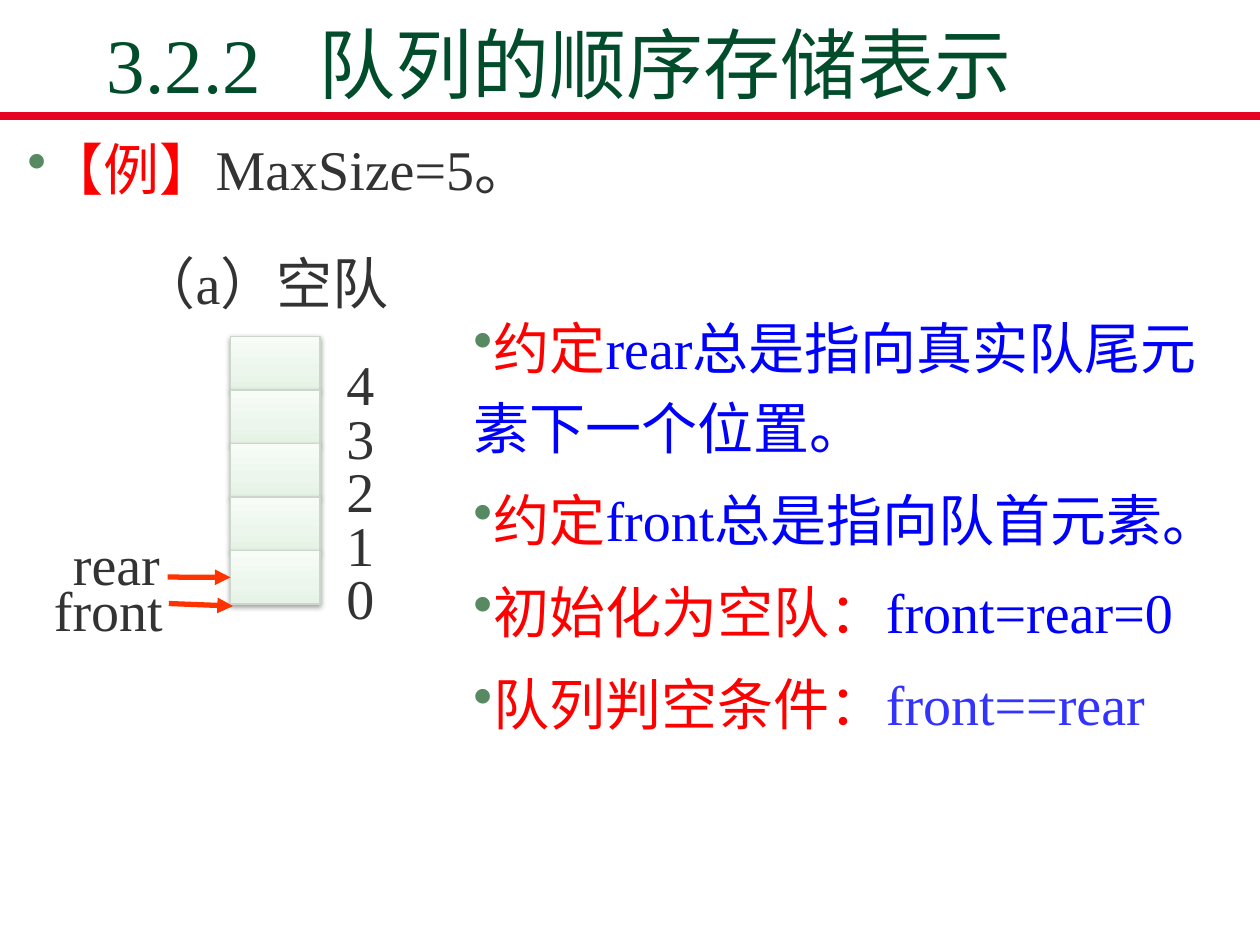
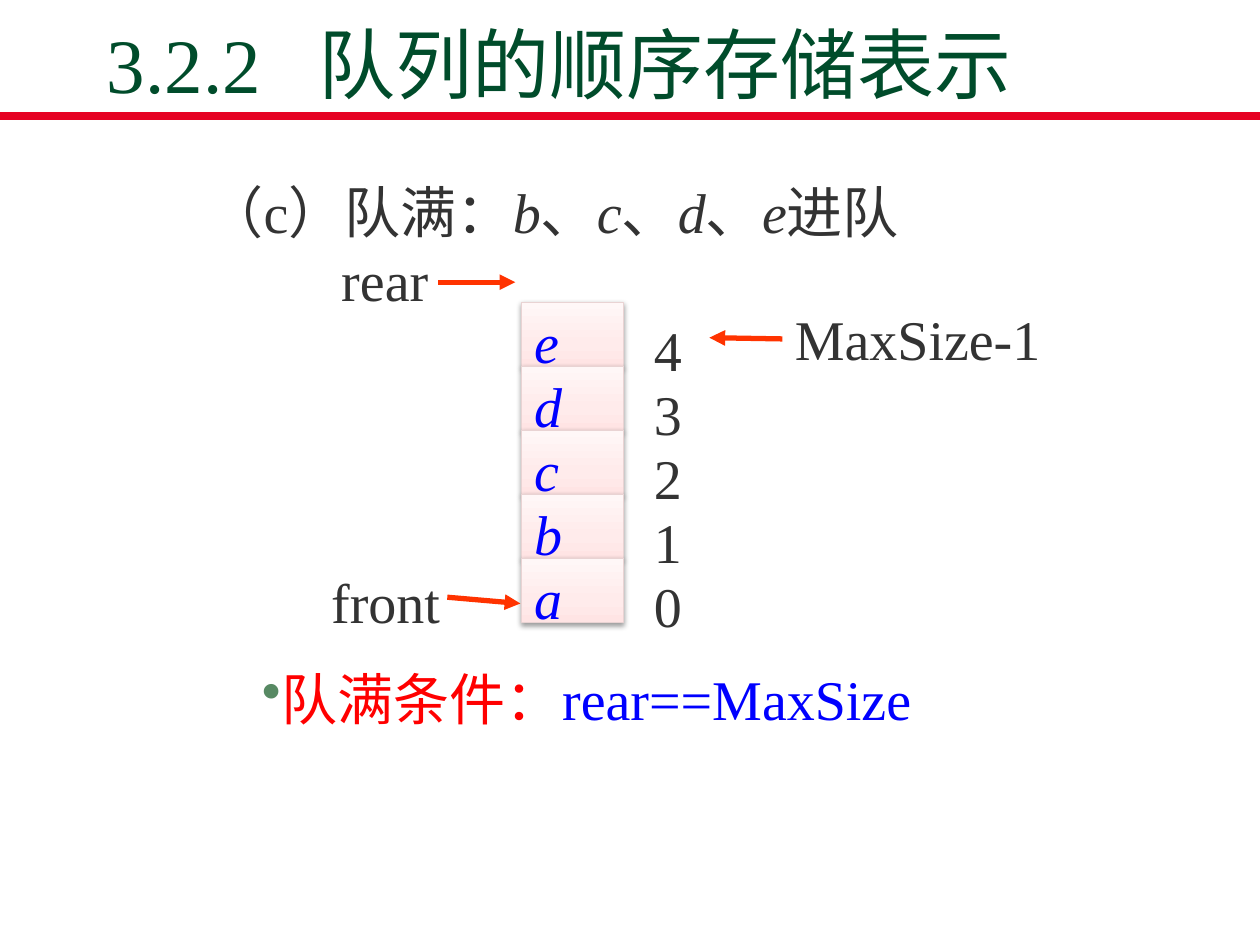
from lxml import etree
from pptx import Presentation
from pptx.dml.color import RGBColor
from pptx.enum.shapes import MSO_CONNECTOR as CONNECTOR, MSO_SHAPE as SHAPE
from pptx.enum.text import MSO_ANCHOR as ANCHOR, PP_ALIGN as ALIGN
from pptx.oxml import parse_xml
from pptx.oxml.ns import nsdecls, qn
from pptx.util import Inches, Pt

COLORS = {
    "title": "004C2B", "band": "E60223", "body": "333333", "bullet": "578963",
    "key": "FF0000", "rule": "0000FF", "test": "3333FF", "pointer": "FF3300",
}
# Gradient stops from the bottom of a cell to its top, then its border
EMPTY_CELL = (("E5F2E5", "ECF6EC", "F7FCF7"), "CCD6CC")
FULL_CELL = (("FFE4E4", "FFEBEB", "FFF7F7"), "E9D3D3")
STOPS = (0, 35000, 100000)
FONT = "Times New Roman"
COLUMNS, ROWS = 100, 75
LABEL_ROWS = 7.5
HEADING = "3.2.2\t队列的顺序存储表示"


def rgb(name):
    return RGBColor.from_string(COLORS.get(name, name))


def write(frame, paragraphs, size=32, spacing=1.2, before=0, bullet=False,
          tab=None, anchor=ANCHOR.TOP, wrap=True):
    """Fill a text frame; each paragraph is a list of (text, colour, italic) runs."""
    frame.word_wrap = wrap
    frame.vertical_anchor = anchor
    for number, runs in enumerate(paragraphs):
        paragraph = frame.add_paragraph() if number else frame.paragraphs[0]
        properties = paragraph._p.get_or_add_pPr()
        if bullet:
            color = etree.SubElement(properties, qn("a:buClr"))
            etree.SubElement(color, qn("a:srgbClr"), val=COLORS["bullet"])
            etree.SubElement(properties, qn("a:buChar"), char="•")
        if tab:
            tabs = etree.SubElement(properties, qn("a:tabLst"))
            etree.SubElement(tabs, qn("a:tab"), pos=str(tab), algn="l")
        paragraph.alignment = ALIGN.LEFT
        paragraph.line_spacing = spacing
        if number:
            paragraph.space_before = Pt(before)
        for words, color, *italic in runs:
            run = paragraph.add_run()
            run.text = words
            run.font.name = FONT
            run.font.size = Pt(size)
            run.font.italic = bool(italic and italic[0])
            run.font.color.rgb = rgb(color)


class Deck:
    """The shared style and the slide being drawn, on a 100 by 75 grid."""

    def __init__(self):
        self.file = Presentation()
        self.file.slide_width = Inches(10)
        self.file.slide_height = Inches(7.5)
        self.slide = None

    def x(self, columns):
        return round(self.file.slide_width * columns / COLUMNS)

    def y(self, rows):
        return round(self.file.slide_height * rows / ROWS)

    def place(self, left, top, width, height):
        return self.x(left), self.y(top), self.x(width), self.y(height)

    def new_slide(self):
        self.slide = self.file.slides.add_slide(self.file.slide_layouts[6])
        self.line((0, 9.2), (COLUMNS, 9.2), "band", 4.5)
        self.text(7.5, 2.6, 85, [[(HEADING, "title")]], height=6.5, size=44,
                  spacing=1, tab=self.x(16.8), anchor=ANCHOR.BOTTOM)

    def text(self, left, top, width, paragraphs, height=LABEL_ROWS, **style):
        box = self.slide.shapes.add_textbox(*self.place(left, top, width, height))
        write(box.text_frame, paragraphs, **style)

    def label(self, left, top, width, words):
        self.text(left, top, width, [[(words, "body")]])

    def line(self, start, end, color, weight):
        connector = self.slide.shapes.add_connector(
            CONNECTOR.STRAIGHT, self.x(start[0]), self.y(start[1]),
            self.x(end[0]), self.y(end[1]))
        connector.line.color.rgb = rgb(color)
        connector.line.width = Pt(weight)
        etree.SubElement(connector.element.spPr, qn("a:effectLst"))
        return connector

    def arrow(self, start, end, target=None):
        """Draw a pointer; a target cell is joined at its left side."""
        pointer = self.line(start, end, "pointer", 3)
        outline = pointer.element.spPr.find(qn("a:ln"))
        etree.SubElement(outline, qn("a:tailEnd"), type="triangle")
        if target is not None:
            pointer.end_connect(target, 1)

    def cell(self, left, top, width, height, look):
        shades, border = look
        cell = self.slide.shapes.add_shape(
            SHAPE.RECTANGLE, *self.place(left, top, width, height))
        cell.line.color.rgb = rgb(border)
        cell.line.width = Pt(0.75)
        stops = "".join(f'<a:gs pos="{stop}"><a:srgbClr val="{shade}"/></a:gs>'
                        for stop, shade in zip(STOPS, shades))
        properties = cell.element.spPr
        properties.find(qn("a:ln")).addprevious(parse_xml(
            f'<a:gradFill {nsdecls("a")}><a:gsLst>{stops}</a:gsLst>'
            '<a:lin ang="16200000" scaled="0"/></a:gradFill>'))
        properties.append(parse_xml(
            f'<a:effectLst {nsdecls("a")}><a:outerShdw blurRad="40000" '
            'dist="20000" dir="5400000" rotWithShape="0"><a:srgbClr val="000000">'
            '<a:alpha val="38000"/></a:srgbClr></a:outerShdw></a:effectLst>'))
        return cell

    def queue(self, left, top, width, pitch, look, index_left, index_width,
              items=("",) * 5):
        """Stack the cells from the highest index down to 0; return the last one."""
        for row, item in enumerate(items):
            cell_top = top + row * pitch
            cell = self.cell(left, cell_top, width, pitch, look)
            if item:
                write(cell.text_frame, [[(item, "rule", True)]],
                      anchor=ANCHOR.MIDDLE, wrap=False)
            self.label(index_left, cell_top - 0.5, index_width,
                       str(len(items) - 1 - row))
        return cell


def empty_queue(deck):
    deck.new_slide()
    deck.text(1.2, 9.1, 97.6, [[("【例】", "key"), ("MaxSize=5。", "body")]],
              bullet=True)
    slot_0 = deck.queue(18.3, 26.7, 7.1, 4.25, EMPTY_CELL, 26.5, 5.3)
    deck.arrow((13.3, 45.8), (18.3, 45.8), slot_0)
    deck.label(4.8, 40.5, 10.2, "rear")
    deck.label(10.1, 18.2, 23.5, "（a）空队")
    conventions = [
        [("约定", "key"), ("rear总是指向真实队尾元素下一个位置。", "rule")],
        [("约定", "key"), ("front总是指向队首元素。", "rule")],
        [("初始化为空队：", "key"), ("front=rear=0", "rule")],
        [("队列判空条件：", "key"), ("front==rear", "test")],
    ]
    deck.text(36.6, 23.3, 59.6, conventions, height=36.5, before=6.4, bullet=True)
    deck.arrow((13.4, 47.9), (18.5, 48.1))
    deck.label(3.3, 44.1, 11.7, "front")


def full_queue(deck):
    deck.new_slide()
    caption = [("（c）队满：", "body")]
    for item in "bcde":
        caption += [(item, "body", True), ("进队" if item == "e" else "、", "body")]
    deck.text(15.5, 12.5, 69.3, [caption])
    deck.text(19.8, 51.2, 59.2,
              [[("队满条件：", "key"), ("rear==MaxSize", "rule")]], bullet=True)
    deck.queue(41.4, 24, 8.1, 5.08, FULL_CELL, 50.9, 6.1, "edcba")
    deck.arrow((34.8, 22.4), (40.9, 22.4))
    deck.label(26.1, 17.9, 10.2, "rear")
    deck.arrow((35.5, 47.4), (41.3, 47.9))
    deck.label(25.3, 43.5, 11.7, "front")
    deck.arrow((62.1, 26.9), (56.3, 26.8))
    deck.label(62.1, 22.6, 26.6, "MaxSize-1")


def main():
    deck = Deck()
    empty_queue(deck)
    full_queue(deck)
    deck.file.save("out.pptx")


if __name__ == "__main__":
    main()
